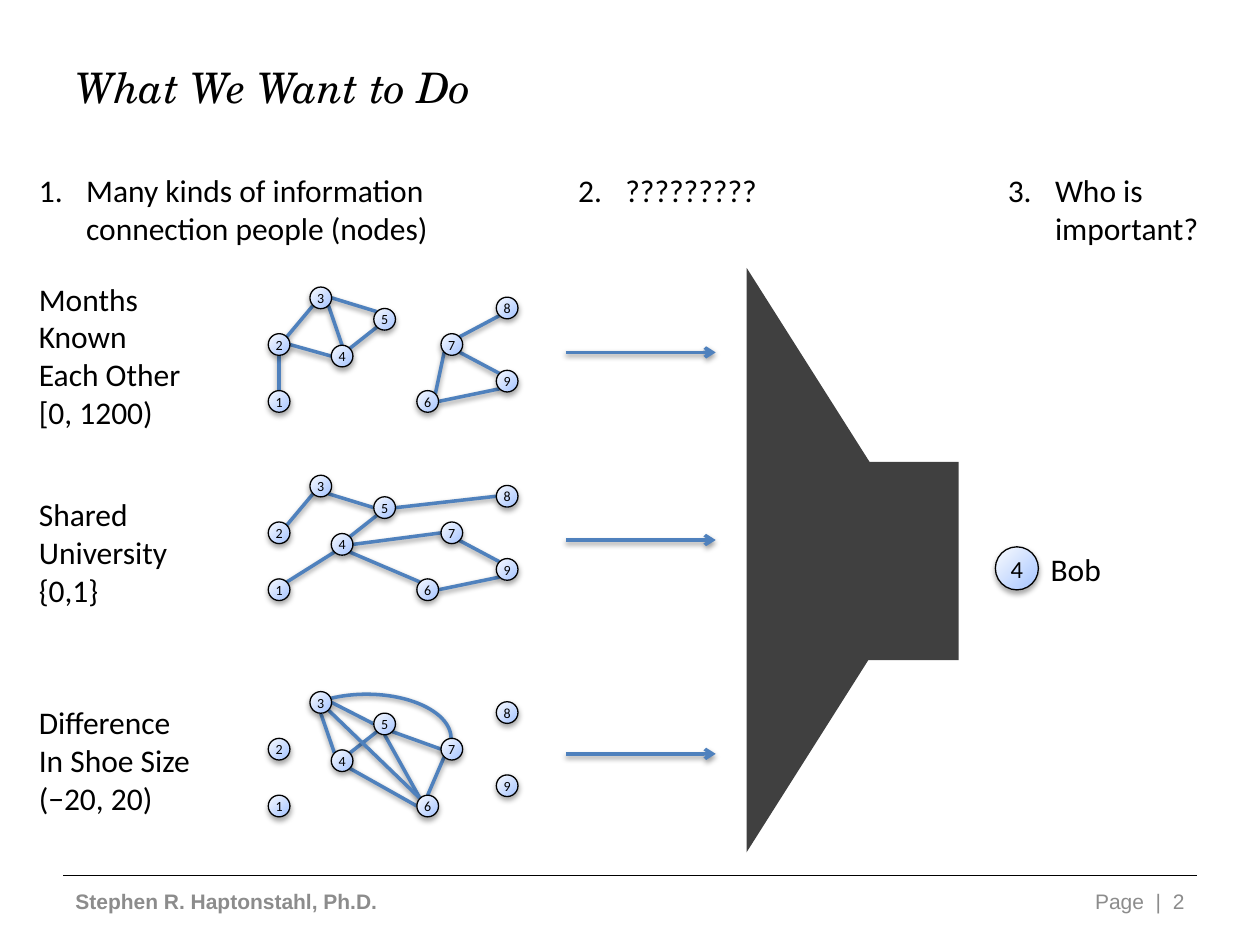
from dataclasses import dataclass
from math import sqrt

from lxml.etree import SubElement
from pptx import Presentation
from pptx.dml.color import RGBColor
from pptx.enum.shapes import MSO_CONNECTOR, MSO_SHAPE
from pptx.enum.text import MSO_ANCHOR, PP_ALIGN
from pptx.oxml.ns import qn
from pptx.util import Pt


@dataclass(frozen=True)
class Theme:
    """Colours, fonts and type sizes of the slide."""
    ink: str = "000000"
    muted: str = "8C8C8C"
    edge: str = "4F81BD"
    funnel: str = "404040"
    node_light: str = "FBFCFE"
    node_dark: str = "A4C4FF"
    title_font: str = "TeX Gyre Schola"
    body_font: str = "Calibri"
    footer_font: str = "Arial"
    title_size: int = 24
    body_size: int = 18
    footer_size: int = 12
    node_size: int = 8
    result_size: int = 14


T = Theme()
NODE_D = 12.4

# Node centres: x on the slide, y below the top of the network
NODES = {1: (159.5, 65.4), 2: (159.5, 32.9), 3: (183.3, 6.2),
         4: (195.5, 39.5), 5: (219.8, 18.5), 6: (244.4, 65.4),
         7: (258.2, 32.9), 8: (289.8, 12), 9: (289.8, 53.8)}

DIAG = sqrt(0.5)
SITES = {"N": (0, -1), "S": (0, 1), "W": (-1, 0), "E": (1, 0),
         "NW": (-DIAG, -DIAG), "NE": (DIAG, -DIAG),
         "SW": (-DIAG, DIAG), "SE": (DIAG, DIAG)}

# Network top, arrow y, label top, label lines, edges (node and side)
NETWORKS = [
    (164, 201.4, 156.2, ["Months", "Known", "Each Other", "[0, 1200)"],
     "1N-2S 2NE-3SW 3SE-4N 2E-4W 3E-5NW 5SW-4NE 7SW-6NE 8SW-7NE 7SE-9NW 6E-9SW"),
    (271.6, 308.6, 279.4, ["Shared", "University", "{0,1}"],
     "2NE-3SW 3SE-5W 5E-8W 5SW-4NE 1NE-4SW 4E-7W 7SE-9NW 9SW-6E 4SE-6NW"),
    (395.2, 430.8, 398.2, ["Difference", "In Shoe Size", "(\u221220, 20)"],
     "3S-4NW 3E-5W 5SW-4NE 5SE-7W 7SW-6N 4SE-6W 5S-6NW 3SE-6NW"),
]

# Heading text, left, width
HEADINGS = [("Many kinds of information connection people (nodes)", 15.1, 281),
            ("?????????", 323.3, 130),
            ("Who is \vimportant?", 568.8, 136)]


def rgb(code):
    """Turn a hex code into a colour."""
    return RGBColor.from_string(code)


def style(p, size, font=T.body_font, color=T.ink, bold=False, italic=False):
    """Set the font of a paragraph."""
    p.font.size, p.font.name = Pt(size), font
    p.font.bold, p.font.italic = bold, italic
    p.font.color.rgb = rgb(color)


def add_effects(sp, alpha=0, dist=0.0):
    """Replace the inherited shadow by a soft one below, or by none."""
    effects = SubElement(sp._element.spPr, qn("a:effectLst"))
    if alpha:
        shadow = SubElement(effects, qn("a:outerShdw"), blurRad=str(Pt(3.1)),
                            dist=str(Pt(dist)), dir="5400000", rotWithShape="0")
        black = SubElement(shadow, qn("a:srgbClr"), val=T.ink)
        SubElement(black, qn("a:alpha"), val=str(alpha * 1000))


def add_text(s, x, y, w, h, lines, size=T.body_size, anchor=MSO_ANCHOR.TOP,
             align=PP_ALIGN.LEFT, **font):
    """Add a text box with one paragraph per line and return its frame."""
    tf = s.shapes.add_textbox(Pt(x), Pt(y), Pt(w), Pt(h)).text_frame
    tf.word_wrap, tf.vertical_anchor = True, anchor
    tf.text = "\n".join(lines)
    for p in tf.paragraphs:
        p.alignment = align
        style(p, size, **font)
    return tf


def add_heading(s, number, text, x, w):
    """Add a numbered heading with a hanging indent."""
    p = add_text(s, x, 94.3, w, 51, [text]).paragraphs[0]
    pPr = p._p.get_or_add_pPr()
    pPr.set("marL", str(Pt(27)))
    pPr.set("indent", str(Pt(-27)))
    bullet = pPr.makeelement(qn("a:buAutoNum"),
                             {"type": "arabicPeriod", "startAt": str(number)})
    pPr.find(qn("a:defRPr")).addprevious(bullet)


def add_line(s, start, end, color=T.edge, width=2, shadow=True, arrow=False):
    """Add a straight line, with an arrowhead at its end if asked."""
    c = s.shapes.add_connector(MSO_CONNECTOR.STRAIGHT,
                               *(Pt(v) for v in (*start, *end)))
    c.line.color.rgb, c.line.width = rgb(color), Pt(width)
    if arrow:
        SubElement(c.line._ln, qn("a:tailEnd"), type="arrow")
    add_effects(c, 38 if shadow else 0, 1.6)


def add_node(shapes, number, cx, cy, d=NODE_D, size=T.node_size):
    """Add a numbered circle around a centre."""
    sp = shapes.add_shape(MSO_SHAPE.OVAL, Pt(cx - d / 2), Pt(cy - d / 2),
                          Pt(d), Pt(d))
    sp.fill.gradient()
    sp.fill.gradient_angle = 315
    for stop, color in zip(sp.fill.gradient_stops, (T.node_light, T.node_dark)):
        stop.color.rgb = rgb(color)
    sp.line.color.rgb, sp.line.width = rgb(T.ink), Pt(0.75)
    add_effects(sp, 35, 1.8)
    tf = sp.text_frame
    tf.margin_left = tf.margin_right = tf.margin_top = tf.margin_bottom = 0
    tf.word_wrap, tf.vertical_anchor = False, MSO_ANCHOR.MIDDLE
    p = tf.paragraphs[0]
    p.text, p.alignment = str(number), PP_ALIGN.CENTER
    style(p, size)


def site(name, top):
    """Find the point on a node's rim for a name such as 3SE."""
    (x, y), (dx, dy) = NODES[int(name[0])], SITES[name[1:]]
    return x + dx * NODE_D / 2, top + y + dy * NODE_D / 2


def add_network(s, top, edges):
    """Add the edges of a network and its group of nodes."""
    for edge in edges.split():
        start, end = edge.split("-")
        add_line(s, site(start, top), site(end, top))
    group = s.shapes.add_group_shape()
    for number, (x, y) in NODES.items():
        add_node(group.shapes, number, x, top + y)


def add_arc(s, x, y, w, h, start_angle):
    """Add a curved edge from an angle in degrees round to the right."""
    sp = s.shapes.add_shape(MSO_SHAPE.ARC, Pt(x), Pt(y), Pt(w), Pt(h))
    sp.adjustments[0], sp.adjustments[1] = start_angle * 0.6, 0
    sp.fill.background()
    sp.line.color.rgb, sp.line.width = rgb(T.edge), Pt(2)
    add_effects(sp, 38, 1.6)


def add_funnel(s):
    """Add the funnel: a triangle pointing right and its spout."""
    group = s.shapes.add_group_shape()
    for kind, x, y, w, h, turn in (
            (MSO_SHAPE.ISOSCELES_TRIANGLE, 312.5, 267.1, 334, 105.8, 90),
            (MSO_SHAPE.RECTANGLE, 496.1, 264, 51.8, 113.2, 0)):
        sp = group.shapes.add_shape(kind, Pt(x), Pt(y), Pt(w), Pt(h))
        sp.rotation = turn
        sp.fill.solid()
        sp.fill.fore_color.rgb = rgb(T.funnel)
        sp.line.fill.background()
        sp.shadow.inherit = False


def add_footer(s):
    """Add the rule, the author and the page number."""
    add_line(s, (36, 500.4), (684, 500.4), T.ink, 0.75, shadow=False)
    look = dict(size=T.footer_size, anchor=MSO_ANCHOR.MIDDLE,
                font=T.footer_font, color=T.muted)
    add_text(s, 36, 500.4, 480, 28.8, ["Stephen R. Haptonstahl, Ph.D."],
             bold=True, **look)
    add_text(s, 516, 500.4, 168, 28.8, ["Page  |  2"],
             align=PP_ALIGN.RIGHT, **look)


def main():
    """Build the slide and save it."""
    prs = Presentation()
    prs.slide_width, prs.slide_height = Pt(720), Pt(540)
    s = prs.slides.add_slide(prs.slide_layouts[6])
    add_text(s, 36, 4.3, 648, 90, ["What We Want to Do"], T.title_size,
             MSO_ANCHOR.MIDDLE, font=T.title_font, italic=True)
    for number, heading in enumerate(HEADINGS, 1):
        add_heading(s, number, *heading)
    add_arc(s, 161.3, 396.7, 96.5, 50.4, 227.64)
    for top, arrow_y, label_y, label, edges in NETWORKS:
        add_network(s, top, edges)
        add_line(s, (323.3, arrow_y), (409, arrow_y), arrow=True)
        add_text(s, 15.1, label_y, 112, 22 * len(label) + 7, label)
    add_funnel(s)
    add_node(s.shapes, 4, 581.1, 324.8, 24.6, T.result_size)
    add_text(s, 593.3, 311, 50, 29, ["Bob"])
    add_footer(s)
    prs.save("out.pptx")


main()
